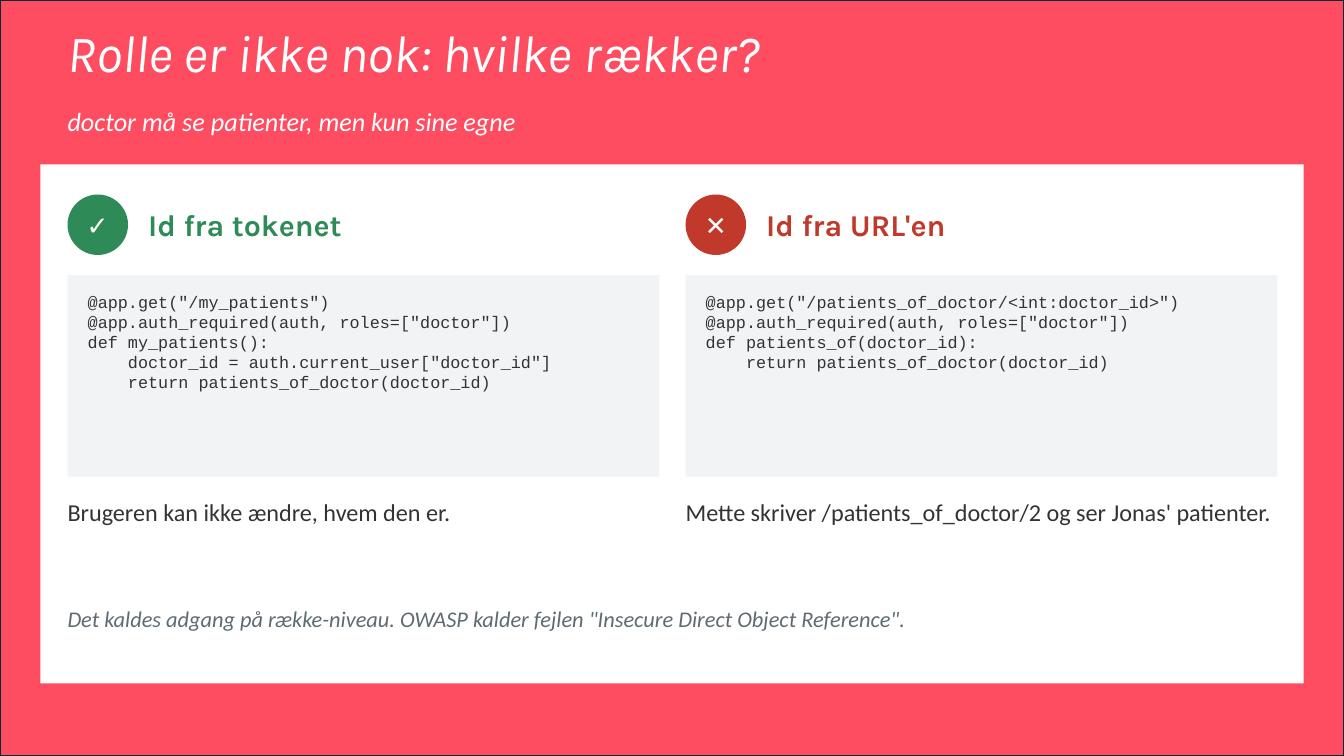
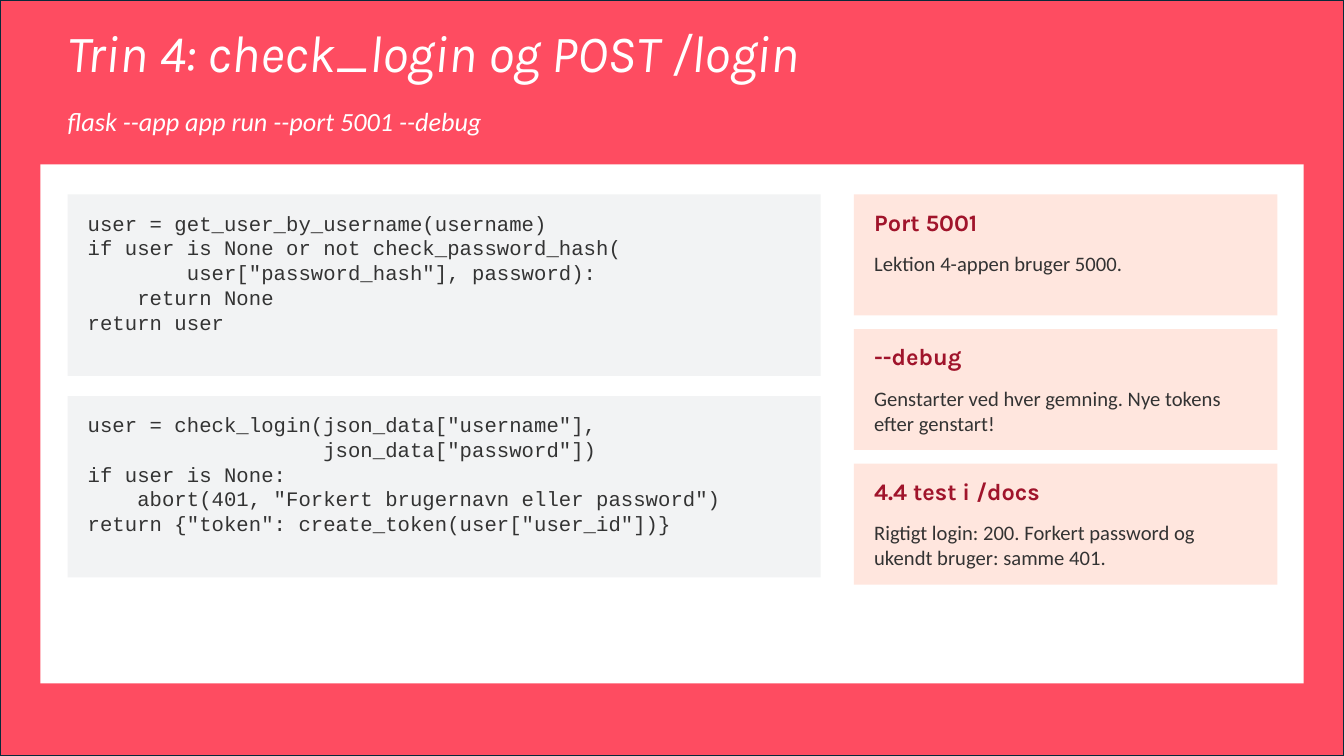
from dataclasses import dataclass

from pptx import Presentation
from pptx.dml.color import RGBColor
from pptx.enum.shapes import MSO_SHAPE as Preset
from pptx.enum.text import MSO_ANCHOR as Anchor, MSO_AUTO_SIZE as AutoSize, PP_ALIGN as Align
from pptx.util import Inches, Pt


@dataclass(frozen=True)
class Theme:
    red: str = "FE4C61"
    navy: str = "092A39"
    white: str = "FFFFFF"
    green: str = "2E8B57"
    warning: str = "C0392B"
    code_fill: str = "F2F3F4"
    card_fill: str = "FFE6DE"
    card_heading: str = "A0142B"
    ink: str = "333333"
    muted: str = "5F6B73"
    heading_font: str = "Karla"
    body_font: str = "Calibri"
    code_font: str = "Courier New"
    title_size: float = 37.3
    column_size: float = 21.6
    subtitle_size: float = 18.7
    body_size: float = 17.3
    card_size: float = 16.8
    note_size: float = 16
    text_size: float = 14.7
    small_code_size: float = 12


THEME = Theme()


@dataclass(frozen=True)
class Box:
    left: float
    top: float
    width: float
    height: float

    def lengths(self):
        return [Inches(value) for value in (self.left, self.top, self.width, self.height)]


@dataclass(frozen=True)
class Style:
    font: str
    size: float
    color: str
    bold: bool = False
    italic: bool = False


@dataclass(frozen=True)
class Column:
    mark: str
    color: str
    heading: str
    code: str
    comment: str


@dataclass(frozen=True)
class Card:
    heading: str
    body: str


SLIDE = Box(0, 0, 13.33, 7.5)
PANEL = Box(0.4, 1.63, 12.53, 5.15)
MARGIN = 0.67
CONTENT_TOP = 1.93
CONTENT_WIDTH = 12
PADDING = 0.2

TITLE = Style(THEME.heading_font, THEME.title_size, THEME.white, italic=True)
SUBTITLE = Style(THEME.body_font, THEME.subtitle_size, THEME.white, italic=True)
MARK = Style(THEME.body_font, THEME.subtitle_size, THEME.white, bold=True)
COMMENT = Style(THEME.body_font, THEME.body_size, THEME.ink)
NOTE = Style(THEME.body_font, THEME.note_size, THEME.muted, italic=True)
CARD_HEADING = Style(THEME.heading_font, THEME.card_size, THEME.card_heading, bold=True)
CARD_BODY = Style(THEME.body_font, THEME.text_size, THEME.ink)

COLUMNS = [
    Column("✓", THEME.green, "Id fra tokenet", '''@app.get("/my_patients")
@app.auth_required(auth, roles=["doctor"])
def my_patients():
    doctor_id = auth.current_user["doctor_id"]
    return patients_of_doctor(doctor_id)''', "Brugeren kan ikke ændre, hvem den er."),
    Column("✕", THEME.warning, "Id fra URL'en", '''@app.get("/patients_of_doctor/<int:doctor_id>")
@app.auth_required(auth, roles=["doctor"])
def patients_of(doctor_id):
    return patients_of_doctor(doctor_id)''',
           "Mette skriver /patients_of_doctor/2 og ser Jonas' patienter."),
]

LOGIN_CODE = [
    '''user = get_user_by_username(username)
if user is None or not check_password_hash(
        user["password_hash"], password):
    return None
return user''',
    '''user = check_login(json_data["username"],
                   json_data["password"])
if user is None:
    abort(401, "Forkert brugernavn eller password")
return {"token": create_token(user["user_id"])}''',
]

CARDS = [
    Card("Port 5001", "Lektion 4-appen bruger 5000."),
    Card("--debug", "Genstarter ved hver gemning. Nye tokens efter genstart!"),
    Card("4.4 test i /docs", "Rigtigt login: 200. Forkert password og ukendt bruger: samme 401."),
]


def format_paragraph(paragraph, style: Style, align=Align.LEFT) -> None:
    paragraph.alignment = align
    for run in paragraph.runs:
        font = run.font
        font.name, font.size = style.font, Pt(style.size)
        font.bold, font.italic = style.bold, style.italic
        font.color.rgb = RGBColor.from_string(style.color)


def write(shape, text: str, style: Style, anchor=Anchor.TOP, align=Align.LEFT,
          side: float = 0, top: float = 0):
    frame = shape.text_frame
    frame.text = text
    frame.word_wrap = True
    frame.auto_size = AutoSize.NONE
    frame.vertical_anchor = anchor
    frame.margin_left = frame.margin_right = Inches(side)
    frame.margin_top, frame.margin_bottom = Inches(top), 0
    for paragraph in frame.paragraphs:
        format_paragraph(paragraph, style, align)
    return frame


def add_block(slide, box: Box, fill: str, preset=Preset.RECTANGLE):
    shape = slide.shapes.add_shape(preset, *box.lengths())
    shape.shadow.inherit = False
    shape.fill.solid()
    shape.fill.fore_color.rgb = RGBColor.from_string(fill)
    shape.line.fill.background()
    return shape


def add_text(slide, box: Box, text: str, style: Style, anchor=Anchor.TOP) -> None:
    write(slide.shapes.add_textbox(*box.lengths()), text, style, anchor)


def add_code(slide, box: Box, code: str, size: float) -> None:
    style = Style(THEME.code_font, size, THEME.ink)
    write(add_block(slide, box, THEME.code_fill), code, style, side=PADDING, top=0.16)


def add_column(slide, left: float, column: Column) -> None:
    width, mark_size = 5.87, 0.6
    indent = mark_size + PADDING
    circle = add_block(slide, Box(left, CONTENT_TOP, mark_size, mark_size), column.color, Preset.OVAL)
    write(circle, column.mark, MARK, Anchor.MIDDLE, Align.CENTER)
    heading = Style(THEME.heading_font, THEME.column_size, column.color, bold=True)
    add_text(slide, Box(left + indent, CONTENT_TOP, width - indent, mark_size),
             column.heading, heading, Anchor.MIDDLE)
    add_code(slide, Box(left, CONTENT_TOP + indent, width, 2), column.code, THEME.small_code_size)
    add_text(slide, Box(left, 4.93, width, 0.8), column.comment, COMMENT)


def add_card(slide, box: Box, card: Card) -> None:
    frame = write(add_block(slide, box, THEME.card_fill), card.heading, CARD_HEADING,
                  side=PADDING, top=0.13)
    paragraph = frame.add_paragraph()
    paragraph.text = card.body
    paragraph.space_before = Pt(11)
    format_paragraph(paragraph, CARD_BODY)


def prepare_layout(slide) -> None:
    layout = slide.slide_layout
    background = add_block(slide, SLIDE, THEME.red)
    background.line.color.rgb = RGBColor.from_string(THEME.navy)
    background.line.width = Pt(1.5)
    panel = add_block(slide, PANEL, THEME.white)
    for position, shape in enumerate((background, panel), start=2):
        layout.shapes.element.insert(position, shape.element)
    title = layout.placeholders[0]
    title.left, title.top, title.width, title.height = Box(MARGIN, 0.27, CONTENT_WIDTH, 0.73).lengths()


def add_slide(presentation, title: str, subtitle: str):
    slide = presentation.slides.add_slide(presentation.slide_layouts[5])
    if len(presentation.slides) == 1:
        prepare_layout(slide)
    frame = write(slide.shapes.title, title, TITLE)
    frame.paragraphs[0].line_spacing = 0.9
    add_text(slide, Box(MARGIN, 1.04, CONTENT_WIDTH, 0.47), subtitle, SUBTITLE)
    return slide


def build_row_access(presentation) -> None:
    slide = add_slide(presentation, "Rolle er ikke nok: hvilke rækker?",
                      "doctor må se patienter, men kun sine egne")
    for index, column in enumerate(COLUMNS):
        add_column(slide, MARGIN + index * 6.13, column)
    add_text(slide, Box(MARGIN, 6, CONTENT_WIDTH, 0.67),
             'Det kaldes adgang på række-niveau. OWASP kalder fejlen "Insecure Direct Object Reference".',
             NOTE)


def build_login(presentation) -> None:
    slide = add_slide(presentation, "Trin 4: check_login og POST /login",
                      "flask --app app run --port 5001 --debug")
    code_height, card_height, cards_bottom = 1.8, 1.2, 5.8
    for index, code in enumerate(LOGIN_CODE):
        top = CONTENT_TOP + index * (code_height + PADDING)
        add_code(slide, Box(MARGIN, top, 7.47, code_height), code, THEME.text_size)
    pitch = (cards_bottom - card_height - CONTENT_TOP) / (len(CARDS) - 1)
    for index, card in enumerate(CARDS):
        add_card(slide, Box(8.47, CONTENT_TOP + index * pitch, 4.2, card_height), card)


def main() -> None:
    presentation = Presentation()
    presentation.slide_width = Inches(SLIDE.width)
    presentation.slide_height = Inches(SLIDE.height)
    build_row_access(presentation)
    build_login(presentation)
    presentation.save("out.pptx")


if __name__ == "__main__":
    main()
